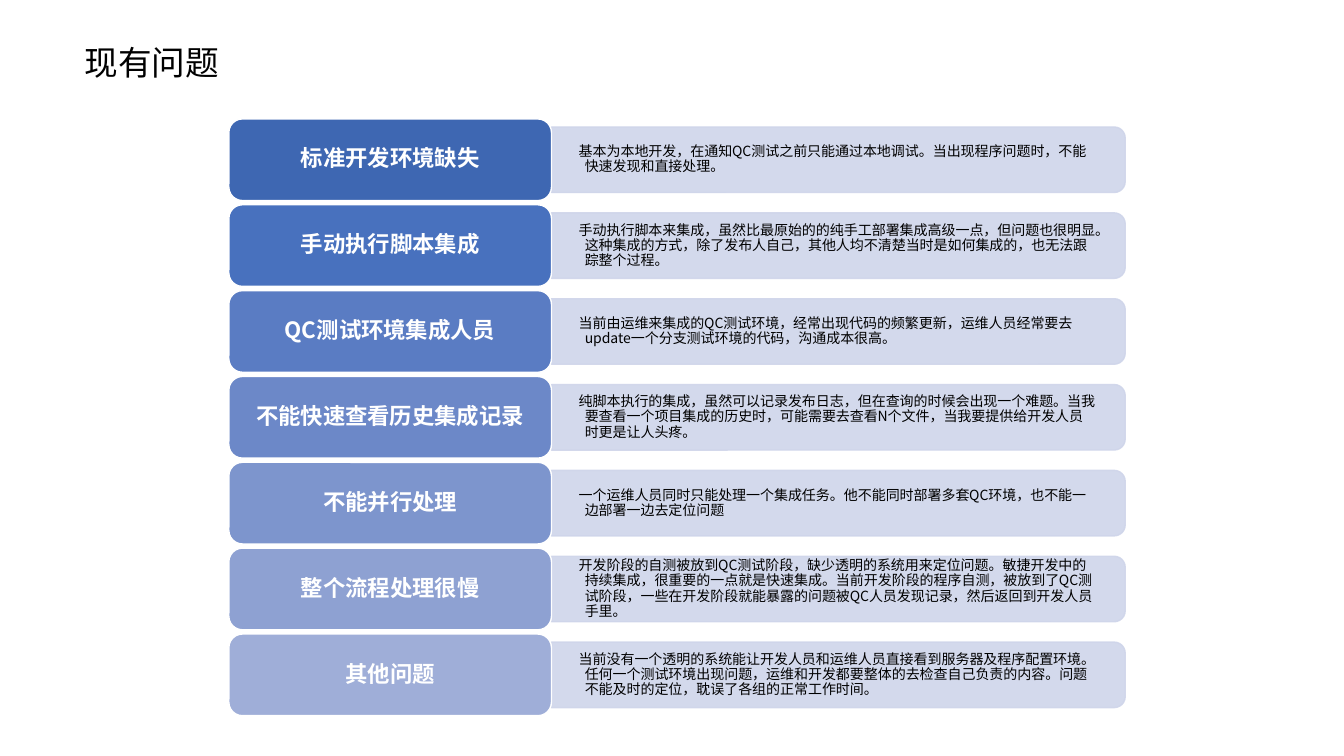
from dataclasses import dataclass

from lxml import etree
from pptx import Presentation
from pptx.dml.color import RGBColor
from pptx.enum.shapes import MSO_SHAPE
from pptx.enum.text import MSO_ANCHOR, PP_ALIGN
from pptx.oxml.ns import qn
from pptx.util import Inches, Pt

ROUND_RECT = MSO_SHAPE.ROUNDED_RECTANGLE
ROUND_SIDE = MSO_SHAPE.ROUND_2_SAME_RECTANGLE
MIDDLE = MSO_ANCHOR.MIDDLE
LEFT, CENTER = PP_ALIGN.LEFT, PP_ALIGN.CENTER

FONT = "Noto Sans CJK SC"
BLACK = RGBColor(0x00, 0x00, 0x00)
WHITE = RGBColor(0xFF, 0xFF, 0xFF)
BAR = RGBColor(0xCF, 0xD5, 0xEA)
BAR_ALPHA = 90

# Row layout in inches
LABEL_X, LABEL_Y, LABEL_W, LABEL_H = 2.27, 1.18, 3.2, 0.81
ROW_STEP = 5.11 / 6
BAR_X, BAR_W, BAR_H = LABEL_X + LABEL_W, 5.69, 0.65
BODY_W, BODY_H = 5.66, 0.59


@dataclass
class Issue:
    label: str
    body: str
    color: RGBColor


ISSUES = [
    Issue("标准开发环境缺失",
          "基本为本地开发，在通知QC测试之前只能通过本地调试。当出现程序问题时，不能快速发现和直接处理。",
          RGBColor(0x3E, 0x67, 0xB2)),
    Issue("手动执行脚本集成",
          "手动执行脚本来集成，虽然比最原始的的纯手工部署集成高级一点，但问题也很明显。"
          "这种集成的方式，除了发布人自己，其他人均不清楚当时是如何集成的，也无法跟踪整个过程。",
          RGBColor(0x48, 0x71, 0xBE)),
    Issue("QC测试环境集成人员",
          "当前由运维来集成的QC测试环境，经常出现代码的频繁更新，"
          "运维人员经常要去update一个分支测试环境的代码，沟通成本很高。",
          RGBColor(0x5A, 0x7C, 0xC3)),
    Issue("不能快速查看历史集成记录",
          "纯脚本执行的集成，虽然可以记录发布日志，但在查询的时候会出现一个难题。"
          "当我要查看一个项目集成的历史时，可能需要去查看N个文件，当我要提供给开发人员时更是让人头疼。",
          RGBColor(0x6C, 0x88, 0xC8)),
    Issue("不能并行处理",
          "一个运维人员同时只能处理一个集成任务。他不能同时部署多套QC环境，也不能一边部署一边去定位问题",
          RGBColor(0x7D, 0x95, 0xCD)),
    Issue("整个流程处理很慢",
          "开发阶段的自测被放到QC测试阶段，缺少透明的系统用来定位问题。"
          "敏捷开发中的持续集成，很重要的一点就是快速集成。当前开发阶段的程序自测，被放到了QC测试阶段，"
          "一些在开发阶段就能暴露的问题被QC人员发现记录，然后返回到开发人员手里。",
          RGBColor(0x8E, 0xA1, 0xD2)),
    Issue("其他问题",
          "当前没有一个透明的系统能让开发人员和运维人员直接看到服务器及程序配置环境。"
          "任何一个测试环境出现问题，运维和开发都要整体的去检查自己负责的内容。"
          "问题不能及时的定位，耽误了各组的正常工作时间。",
          RGBColor(0x9F, 0xAE, 0xD8)),
]


def write(sp, text: str, size: int, color: RGBColor, bold=False, align=LEFT):
    """Put one formatted paragraph into a shape and return it."""
    tf = sp.text_frame
    tf.word_wrap = True
    tf.text = text
    p = tf.paragraphs[0]
    p.alignment = align
    p.line_spacing = 0.9
    r = p.runs[0]
    r.font.name = FONT
    r.font.size = Pt(size)
    r.font.bold = bold
    r.font.color.rgb = color
    etree.SubElement(r.font._element, qn("a:ea")).set("typeface", FONT)
    return p


def set_frame(sp, dx: float, dy: float) -> None:
    """Centre the text vertically and set its margins."""
    tf = sp.text_frame
    tf.vertical_anchor = MIDDLE
    tf.margin_left = tf.margin_right = Inches(dx)
    tf.margin_top = tf.margin_bottom = Inches(dy)


def add_box(s, kind, x: float, y: float, w: float, h: float,
            fill: RGBColor, line: RGBColor):
    sp = s.shapes.add_shape(kind, Inches(x), Inches(y), Inches(w), Inches(h))
    sp.shadow.inherit = False
    sp.fill.solid()
    sp.fill.fore_color.rgb = fill
    sp.line.color.rgb = line
    sp.line.width = Pt(1)
    return sp


def add_issue(s, issue: Issue, top: float) -> None:
    mid = top + LABEL_H / 2

    # Bar: an upright shape turned a quarter, rounded on the right
    bar = add_box(s, ROUND_SIDE, BAR_X + (BAR_W - BAR_H) / 2, mid - BAR_W / 2,
                  BAR_H, BAR_W, BAR, BAR)
    bar.rotation = 90
    for clr in bar._element.spPr.iter(qn("a:srgbClr")):
        etree.SubElement(clr, qn("a:alpha")).set("val", str(BAR_ALPHA * 1000))

    # Description with a hanging indent
    body = s.shapes.add_textbox(Inches(BAR_X), Inches(mid - BODY_H / 2),
                                Inches(BODY_W), Inches(BODY_H))
    p = write(body, issue.body, 10, BLACK)
    p.level = 1
    pPr = p._p.get_or_add_pPr()
    pPr.set("marL", str(Inches(0.06)))
    pPr.set("indent", str(Inches(-0.06)))
    set_frame(body, 0.27, 0.14)

    # Label
    label = add_box(s, ROUND_RECT, LABEL_X, top, LABEL_W, LABEL_H,
                    issue.color, WHITE)
    write(label, issue.label, 16, WHITE, bold=True, align=CENTER)
    set_frame(label, 0.07, 0.03)


def main() -> None:
    prs = Presentation()
    prs.slide_width, prs.slide_height = Inches(13.33), Inches(7.5)
    s = prs.slides.add_slide(prs.slide_layouts[6])

    # Title
    title = s.shapes.add_textbox(Inches(0.74), Inches(0.41), Inches(10), Inches(0.51))
    write(title, "现有问题", 24, BLACK).space_before = Pt(10)

    # Issue rows
    for i, issue in enumerate(ISSUES):
        add_issue(s, issue, LABEL_Y + i * ROW_STEP)

    prs.save("out.pptx")


if __name__ == "__main__":
    main()
